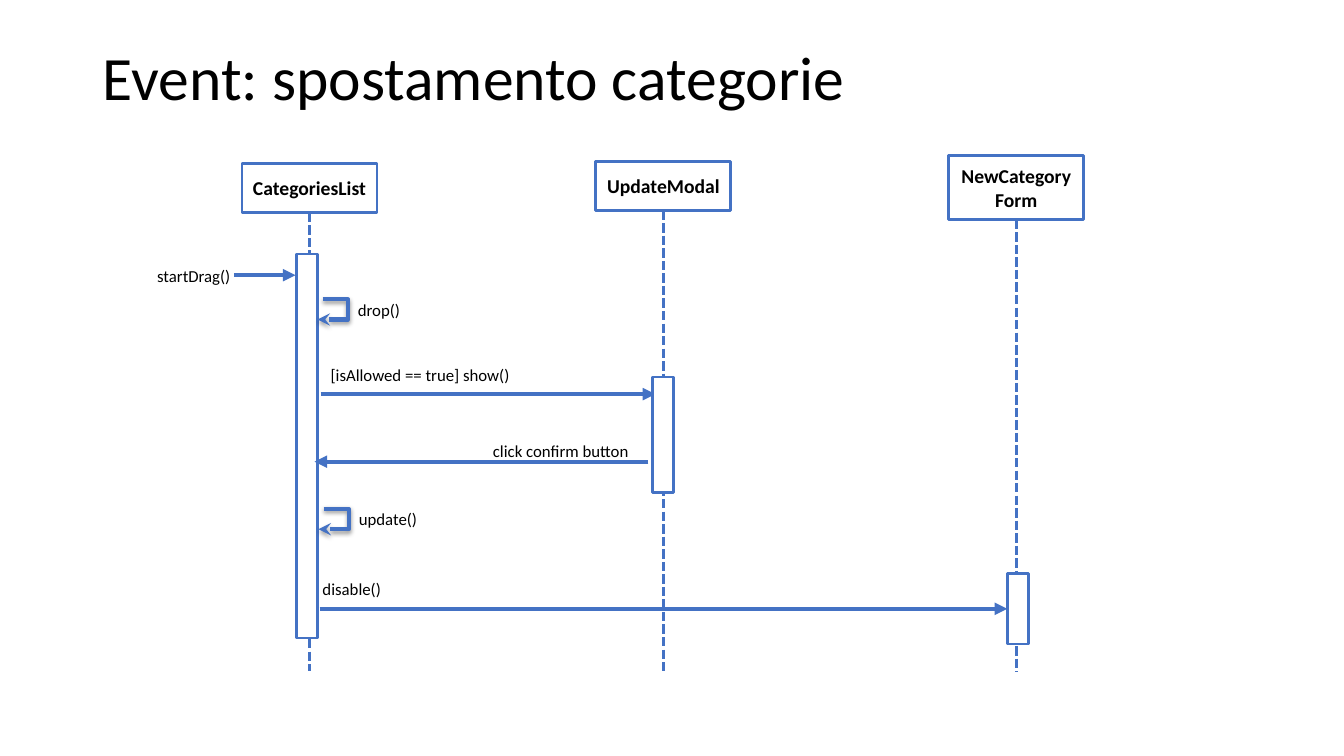
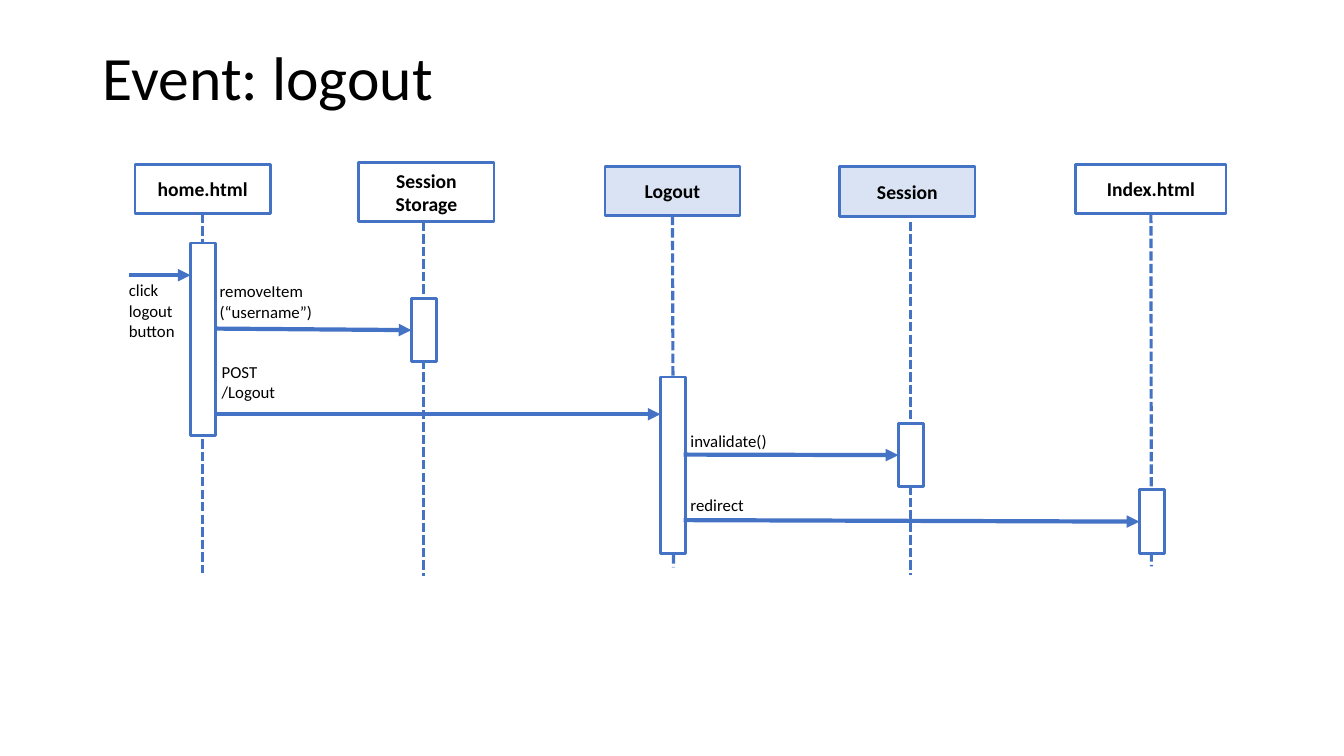
from lxml.etree import SubElement
from pptx import Presentation
from pptx.dml.color import RGBColor
from pptx.enum.dml import MSO_LINE_DASH_STYLE as Dash
from pptx.enum.shapes import MSO_CONNECTOR_TYPE as Connector, MSO_SHAPE as Shape
from pptx.enum.text import MSO_ANCHOR as Anchor, MSO_AUTO_SIZE as AutoSize, PP_ALIGN as Align
from pptx.oxml.ns import qn
from pptx.util import Emu, Pt

TOP, LEFT, BOTTOM, RIGHT = range(4)


def px(length):
    return Emu(length * 9144)


def hex_color(value):
    return RGBColor.from_string(value)


def add_xml(parent, tag, **attributes):
    return SubElement(parent, qn(tag), attributes)


def write(frame, text, size=12, bold=False, align=Align.LEFT, anchor=Anchor.TOP,
          spacing=None, color="000000", font="Calibri"):
    frame.word_wrap = True
    frame.auto_size = AutoSize.NONE
    frame.vertical_anchor = anchor
    frame.text = text
    for paragraph in frame.paragraphs:
        paragraph.alignment = align
        if spacing:
            paragraph.line_spacing = spacing
        for run in paragraph.runs:
            run.font.name = font
            run.font.size = Pt(size)
            run.font.bold = bold
            run.font.color.rgb = hex_color(color)


class SequenceDiagram:
    BLUE = "4472C4"
    WHITE = "FFFFFF"
    SERVER = "DAE3F3"

    def __init__(self):
        self.presentation = Presentation()
        self.presentation.slide_width = px(1333)
        self.presentation.slide_height = px(750)
        self.slide = None

    def start(self, title):
        layout = self.presentation.slide_layouts[5]
        self.slide = self.presentation.slides.add_slide(layout)
        placeholder = self.slide.shapes.title
        placeholder.left, placeholder.top = px(92), px(40)
        placeholder.width, placeholder.height = px(1150), px(80)
        write(placeholder.text_frame, title, size=44, anchor=Anchor.MIDDLE, spacing=0.9)

    def box(self, x, y, width, height, fill):
        shape = self.slide.shapes.add_shape(
            Shape.RECTANGLE, px(x), px(y), px(width), px(height))
        shape.shadow.inherit = False
        if fill:
            shape.fill.solid()
            shape.fill.fore_color.rgb = hex_color(fill)
        else:
            shape.fill.background()
        shape.line.color.rgb = hex_color(self.BLUE)
        shape.line.width = Pt(2)
        return shape

    def head(self, text, x, y, height=49, width=134, fill=None):
        shape = self.box(x, y, width, height, fill)
        write(shape.text_frame, text, size=14, bold=True,
              align=Align.CENTER, anchor=Anchor.MIDDLE)
        return shape

    def bar(self, x, y, width, height):
        return self.box(x, y, width, height, self.WHITE)

    def label(self, text, x, y, width, height=28):
        box = self.slide.shapes.add_textbox(px(x), px(y), px(width), px(height))
        write(box.text_frame, text)

    def connector(self, kind, start, end, width, dash=None, arrow=None):
        joined = [not isinstance(point[0], int) for point in (start, end)]
        points = [(0, 0) if join else point for join, point in zip(joined, (start, end))]
        line = self.slide.shapes.add_connector(
            kind, *(px(value) for point in points for value in point))
        if joined[0]:
            line.begin_connect(*start)
        if joined[1]:
            line.end_connect(*end)
        line.line.color.rgb = hex_color(self.BLUE)
        line.line.width = Pt(width)
        if dash:
            line.line.dash_style = dash
        properties = line._element.spPr
        if arrow:
            add_xml(properties.find(qn("a:ln")), "a:tailEnd", type=arrow)
        return properties, add_xml(properties, "a:effectLst")

    def lifeline(self, start, end):
        self.connector(Connector.STRAIGHT, start, end, 2.25, dash=Dash.SQUARE_DOT)

    def message(self, start, end):
        self.connector(Connector.STRAIGHT, start, end, 3, arrow="triangle")

    def self_call(self, text, x, y):
        properties, effects = self.connector(
            Connector.ELBOW, (x, y), (x - 5, y + 20), 3, arrow="stealth")
        guides = properties.find(qn("a:prstGeom")).get_or_add_avLst()
        add_xml(guides, "a:gd", name="adj1", fmla="val -500000")
        shadow = add_xml(effects, "a:outerShdw", blurRad="40000", dist="20000",
                         dir="5400000", rotWithShape="0")
        color = add_xml(shadow, "a:srgbClr", val="000000")
        add_xml(color, "a:alpha", val="38000")
        self.label(text, x + 25, y - 5, 82)


def build_move_slide(diagram):
    diagram.start("Event: spostamento categorie")
    categories = diagram.head("CategoriesList", 240, 162)
    modal = diagram.head("UpdateModal", 591, 160)
    form = diagram.head("NewCategory\nForm", 941, 154, height=64)
    for head, x in ((categories, 307), (modal, 658), (form, 1008)):
        diagram.lifeline((head, BOTTOM), (x, 666))

    diagram.bar(294, 252, 21, 381)
    diagram.message((318, 391), (650, 391))
    diagram.bar(647, 374, 21, 115)
    form_bar = diagram.bar(999, 569, 21, 70)
    diagram.message((232, 273), (293, 273))
    diagram.message((643, 458), (312, 458))
    diagram.message((317, 604), (form_bar, LEFT))

    diagram.self_call("drop()", 320, 297)
    diagram.self_call("update()", 321, 505)
    diagram.label("startDrag()", 146, 259, 99)
    diagram.label("[isAllowed == true] show()", 318, 357, 302)
    diagram.label("click confirm button", 479, 432, 169)
    diagram.label("disable()", 310, 569, 82)


def build_logout_slide(diagram):
    diagram.start("Event: logout")
    home = diagram.head("home.html", 134, 163)
    diagram.head("Session\nStorage", 356, 161, height=59)
    logout = diagram.head("Logout", 600, 165, fill=diagram.SERVER)
    diagram.head("Session", 833, 165, height=50, fill=diagram.SERVER)
    index = diagram.head("Index.html", 1067, 163, width=149)
    for start, end in (
        ((home, BOTTOM), (201, 568)),
        ((420, 220), (420, 571)),
        ((logout, BOTTOM), (668, 563)),
        ((903, 220), (903, 570)),
        ((index, BOTTOM), (1142, 562)),
    ):
        diagram.lifeline(start, end)

    diagram.bar(189, 241, 25, 191)
    storage_bar = diagram.bar(408, 296, 25, 63)
    diagram.bar(655, 374, 25, 175)
    session_bar = diagram.bar(891, 420, 25, 63)
    index_bar = diagram.bar(1130, 486, 25, 63)
    for start, end in (
        ((128, 273), (189, 273)),
        ((215, 326), (storage_bar, LEFT)),
        ((213, 411), (655, 411)),
        ((678, 451), (session_bar, LEFT)),
        ((678, 516), (index_bar, LEFT)),
    ):
        diagram.message(start, end)

    diagram.label("removeItem\n(“username”)", 208, 274, 117, 47)
    diagram.label("click\nlogout\nbutton", 118, 273, 73, 73)
    diagram.label("POST\n/Logout", 210, 354, 78, 47)
    diagram.label("invalidate()", 675, 422, 109)
    diagram.label("redirect", 675, 486, 94)


def main():
    diagram = SequenceDiagram()
    build_move_slide(diagram)
    build_logout_slide(diagram)
    diagram.presentation.save("out.pptx")


if __name__ == "__main__":
    main()
